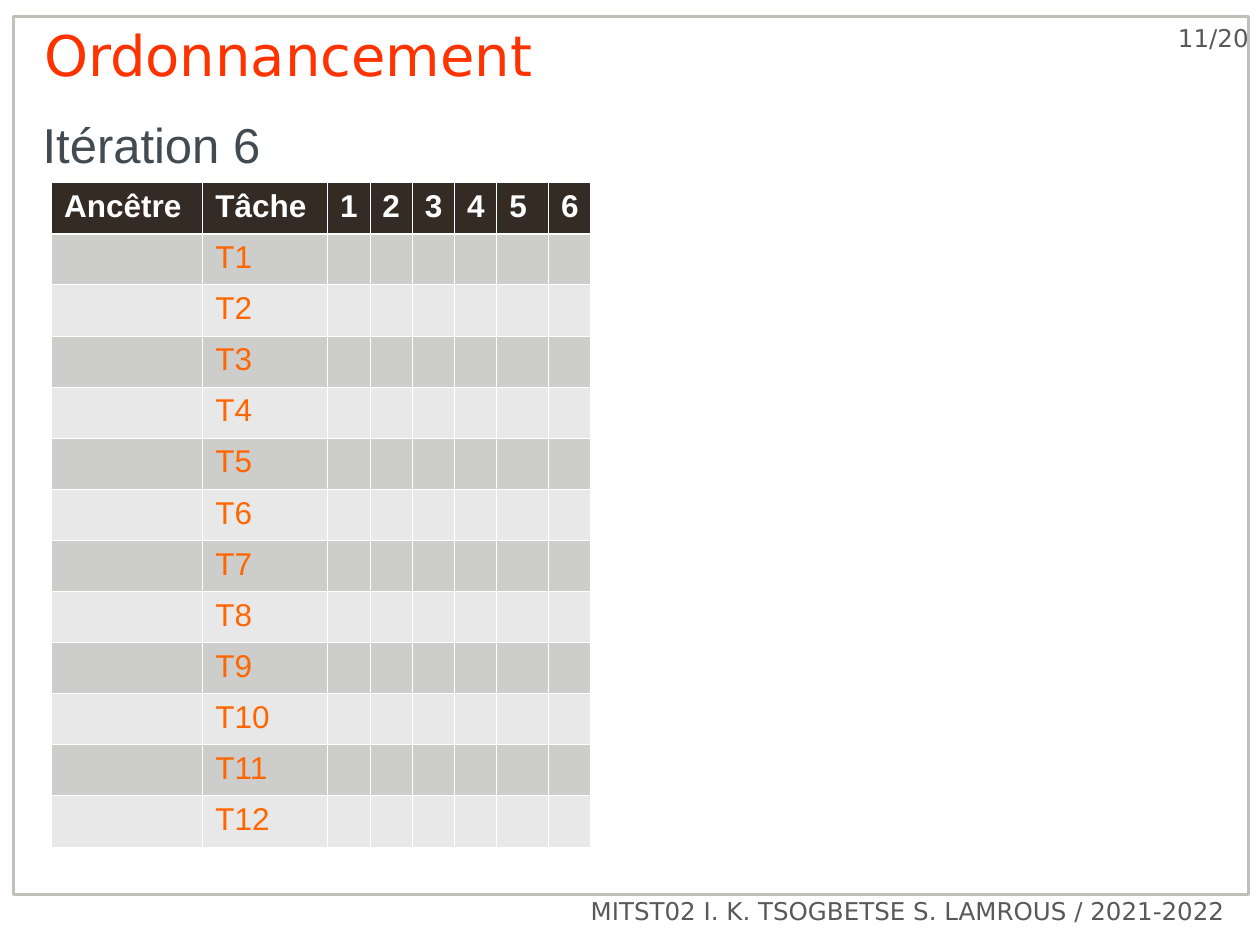
from typing import NamedTuple

from lxml.etree import SubElement
from pptx import Presentation
from pptx.dml.color import RGBColor
from pptx.enum.shapes import MSO_SHAPE as Shape
from pptx.enum.text import MSO_ANCHOR as Anchor, PP_ALIGN as Align
from pptx.oxml.ns import qn
from pptx.util import Inches, Pt

SLIDE_W, SLIDE_H = Inches(10), Inches(7.5)
WHITE, GREY, FRAME = "FFFFFF", "595959", "C2BFB8"
HEADER_FILL, BANDS, TASK = "332B24", ("E8E8E8", "CDCDCC"), "FF6600"
THIN, THICK = 0.45, 1.47


class Box(NamedTuple):
    """Position and size in percent of the slide's width and height."""
    x: float
    y: float
    w: float
    h: float


class Label(NamedTuple):
    text: str
    box: Box
    size: float
    font: str
    color: str
    align: Align = Align.LEFT
    anchor: Anchor = Anchor.TOP
    margins: tuple = (0.1, 0.05, 0.1, 0.05)
    line_pt: float | None = None


LABELS = [
    Label("11/20", Box(87.9, 1.73, 11.2, 8), 14, "DejaVu Sans", GREY,
          Align.RIGHT, margins=(0.12, 0.05, 0, 0.05)),
    Label("MITST02 I. K. TSOGBETSE S. LAMROUS / 2021-2022",
          Box(29, 94.13, 69.2, 8.67), 14, "DejaVu Sans", GREY, Align.RIGHT),
    Label("Ordonnancement", Box(3.5, 3.33, 81.4, 7.73), 32, "DejaVu Sans",
          "FF3300", margins=(0, 0, 0.1, 0.05), line_pt=32),
    Label("Itération 6", Box(2.4, 11.07, 95.2, 8.27), 28, "Arial", "424A52",
          anchor=Anchor.MIDDLE),
]

# Task table: column widths and row height in percent of the slide
COLUMNS = [12, 9.9, 3.36, 3.36, 3.36, 3.36, 4.1, 3.36]
ROW_H = 5.41
HEADER = ["Ancêtre", "Tâche", *map(str, range(1, 7))]
ROWS = [HEADER] + [["", f"T{n}"] + [""] * 6 for n in range(1, 13)]


def rgb(color: str) -> RGBColor:
    return RGBColor.from_string(color)


def across(percent: float) -> int:
    return round(SLIDE_W * percent / 100)


def down(percent: float) -> int:
    return round(SLIDE_H * percent / 100)


def place(box: Box) -> tuple:
    return across(box.x), down(box.y), across(box.w), down(box.h)


def add_run(p, text: str, size: float, font: str, color: str, bold=False) -> None:
    r = p.add_run()
    r.text = text
    r.font.size, r.font.name, r.font.bold = Pt(size), font, bold
    r.font.color.rgb = rgb(color)


def add_frame(s, box: Box) -> None:
    sp = s.shapes.add_shape(Shape.RECTANGLE, *place(box))
    sp.shadow.inherit = False
    sp.fill.background()
    sp.line.color.rgb = rgb(FRAME)
    sp.line.width = Pt(1.5)


def add_label(s, label: Label) -> None:
    tf = s.shapes.add_textbox(*place(label.box)).text_frame
    tf.word_wrap = True
    tf.vertical_anchor = label.anchor
    (tf.margin_left, tf.margin_top,
     tf.margin_right, tf.margin_bottom) = map(Inches, label.margins)
    p = tf.paragraphs[0]
    p.alignment = label.align
    if label.line_pt:
        p.line_spacing = Pt(label.line_pt)
    add_run(p, label.text, label.size, label.font, label.color)


def set_borders(cell, top: float, bottom: float) -> None:
    tc_pr = cell._tc.get_or_add_tcPr()
    sides = {"lnL": THIN, "lnR": THIN, "lnT": top, "lnB": bottom}
    for side, width in sides.items():
        ln = SubElement(tc_pr, qn(f"a:{side}"), w=str(Pt(width)))
        SubElement(SubElement(ln, qn("a:solidFill")), qn("a:srgbClr"), val=WHITE)


def add_task_table(s, x: float, y: float) -> None:
    box = Box(x, y, sum(COLUMNS), ROW_H * len(ROWS))
    table = s.shapes.add_table(len(ROWS), len(COLUMNS), *place(box)).table
    for column, width in zip(table.columns, COLUMNS):
        column.width = across(width)
    for i, texts in enumerate(ROWS):
        table.rows[i].height = down(ROW_H)
        is_header = i == 0
        for j, text in enumerate(texts):
            cell = table.cell(i, j)
            # Borders precede the fill in the cell properties
            set_borders(cell, THICK if i == 1 else THIN,
                        THICK if is_header else THIN)
            cell.fill.solid()
            cell.fill.fore_color.rgb = rgb(HEADER_FILL if is_header else BANDS[i % 2])
            if text:
                add_run(cell.text_frame.paragraphs[0], text, 18, "Arial",
                        WHITE if is_header else TASK, is_header)


def main() -> None:
    prs = Presentation()
    prs.slide_width, prs.slide_height = SLIDE_W, SLIDE_H
    s = prs.slides.add_slide(prs.slide_layouts[6])
    add_frame(s, Box(1.1, 1.73, 98, 92.93))
    for label in LABELS:
        add_label(s, label)
    add_task_table(s, 4.1, 19.33)
    prs.save("out.pptx")


if __name__ == "__main__":
    main()
